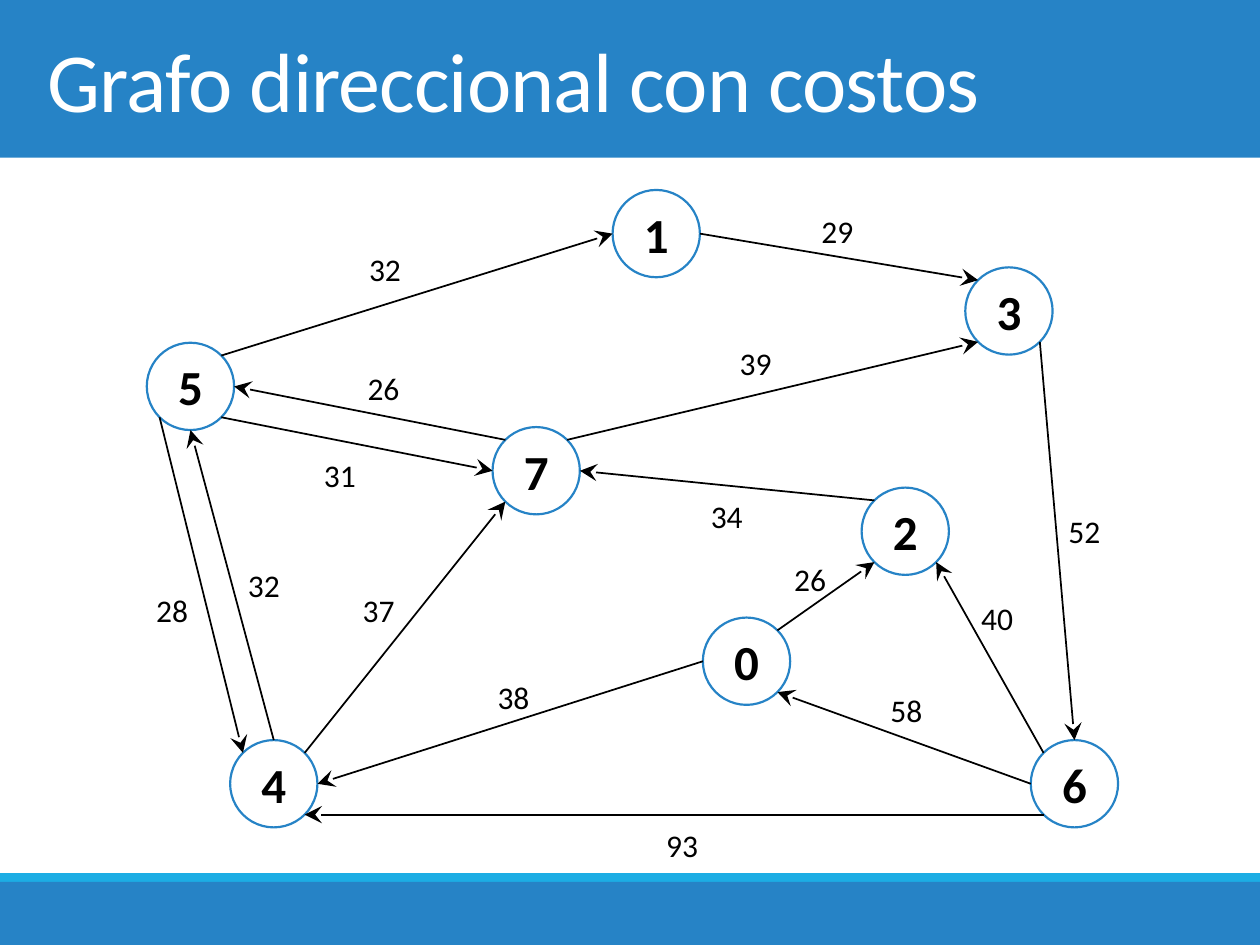
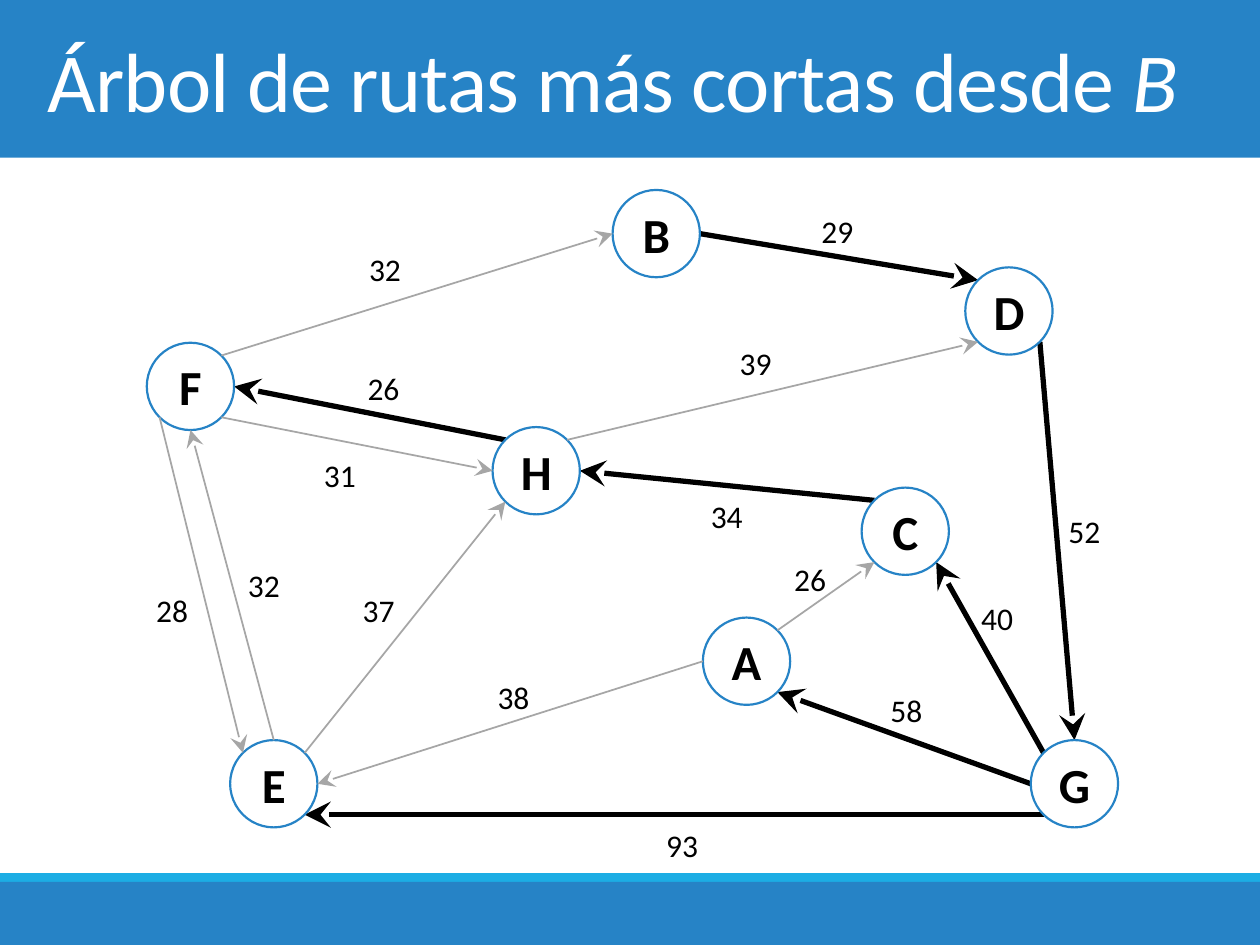
"""Builds two slides: a directed cost graph and its shortest-route tree."""
import math
from dataclasses import dataclass

import lxml.etree
import pptx
import pptx.dml.color
import pptx.enum.shapes
import pptx.enum.text
import pptx.oxml.ns
import pptx.util

Cm = pptx.util.Cm
Pt = pptx.util.Pt
SHAPE = pptx.enum.shapes.MSO_SHAPE
ALIGN = pptx.enum.text.PP_ALIGN
ANCHOR = pptx.enum.text.MSO_ANCHOR
AUTO = pptx.enum.text.MSO_AUTO_SIZE
qn = pptx.oxml.ns.qn


@dataclass(frozen=True)
class Theme:
    font: str = "Calibri"
    blue: str = "2683C6"
    cyan: str = "1CADE4"
    white: str = "FFFFFF"
    black: str = "000000"
    grey: str = "A6A6A6"
    title: int = 48
    node: int = 28
    cost: int = 18
    outline: float = 1.25
    thin: int = 1
    thick: int = 3


T = Theme()
SLIDE_W, SLIDE_H = 25.4, 19.05
BANDS = [(0, 3.18, T.blue), (17.78, 1.27, T.blue), (17.6, 0.18, T.cyan)]
TITLE_BOX = (0.71, 0, 24, 3.18)
NODE_D = 1.76
COST_W, COST_H = 1.17, 1.02

SLIDES = [
    {"title": [("Grafo direccional con costos", False)],
     "names": "01234567", "show_tree": False},
    {"title": [("Árbol de rutas más cortas desde ", False), ("B", True)],
     "names": "ABCDEFGH", "show_tree": True},
]

CENTRES = [(15.05, 13.33), (13.23, 4.71), (18.25, 10.71), (20.34, 6.27),
           (5.52, 15.8), (3.84, 7.79), (21.66, 15.8), (10.81, 9.49)]

SITES = ["N", "NW", "W", "SW", "S", "SE", "E", "NE"]

EDGES = [
    (5, "NE", 1, "W", "32", (7.19, 4.91), False),
    (1, "E", 3, "NW", "29", (16.31, 4.14), True),
    (7, "NE", 3, "SW", "39", (14.66, 6.81), False),
    (3, "SE", 6, "N", "52", (21.29, 10.19), True),
    (6, "SW", 4, "SE", "93", (13.18, 16.53), True),
    (6, "NW", 2, "SE", "40", (19.53, 11.95), True),
    (6, "W", 0, "SE", "58", (17.7, 13.8), True),
    (0, "NE", 2, "SW", "26", (15.76, 11.17), False),
    (0, "W", 4, "E", "38", (9.78, 13.54), False),
    (2, "NW", 7, "E", "34", (14.08, 9.89), True),
    (4, "NE", 7, "SW", "37", (7.06, 11.79), False),
    (7, "NW", 5, "E", "26", (7.16, 7.32), True),
    (5, "SE", 7, "W", "31", (6.28, 9.07), False),
    (4, "N", 5, "S", "32", (4.75, 11.28), False),
    (5, "SW", 4, "NW", "28", (2.9, 11.79), False),
]


def rgb(color):
    return pptx.dml.color.RGBColor.from_string(color)


def write(tf, runs, *, size, color=T.black, bold=False, align=ALIGN.LEFT,
          anchor=ANCHOR.TOP, spacing=None):
    tf.vertical_anchor = anchor
    p = tf.paragraphs[0]
    p.alignment = align
    for text, italic in runs:
        r = p.add_run()
        r.text = text
        r.font.name, r.font.size = T.font, Pt(size)
        r.font.bold, r.font.italic = bold, italic
        r.font.color.rgb = rgb(color)
        if spacing is not None:
            r.font._element.set("spc", str(spacing))


def add_filled(s, kind, box, fill, line=None):
    sp = s.shapes.add_shape(kind, *map(Cm, box))
    sp.shadow.inherit = False
    sp.fill.solid()
    sp.fill.fore_color.rgb = rgb(fill)
    if line:
        sp.line.color.rgb = rgb(line)
        sp.line.width = Pt(T.outline)
    else:
        sp.line.fill.background()
    return sp


def send_to_back(s, sp):
    s.shapes.element.insert(2, sp.element)


def add_bands(s):
    for top, height, color in BANDS:
        box = (0, top, SLIDE_W, height)
        send_to_back(s, add_filled(s, SHAPE.RECTANGLE, box, color))


def add_title(s, runs):
    sp = s.shapes.title
    sp.left, sp.top, sp.width, sp.height = map(Cm, TITLE_BOX)
    sp.text_frame.auto_size = AUTO.NONE
    write(sp.text_frame, runs, size=T.title, color=T.white,
          anchor=ANCHOR.MIDDLE, spacing=-50)


def add_node(s, name, centre):
    x, y = centre
    box = (x - NODE_D / 2, y - NODE_D / 2, NODE_D, NODE_D)
    sp = add_filled(s, SHAPE.OVAL, box, T.white, T.blue)
    tf = sp.text_frame
    tf.margin_left = tf.margin_right = tf.margin_top = tf.margin_bottom = 0
    write(tf, [(name, False)], size=T.node, bold=True,
          align=ALIGN.CENTER, anchor=ANCHOR.MIDDLE)
    return sp


def site_point(node, site):
    x, y = CENTRES[node]
    angle = math.radians(45 * SITES.index(site))
    return (Cm(x - NODE_D / 2 * math.sin(angle)),
            Cm(y - NODE_D / 2 * math.cos(angle)))


def add_edge(s, nodes, ends, color, width):
    points = [site_point(*end) for end in ends]
    c = s.shapes.add_connector(pptx.enum.shapes.MSO_CONNECTOR.STRAIGHT,
                               *points[0], *points[1])
    c.line.color.rgb = rgb(color)
    c.line.width = Pt(width)
    lxml.etree.SubElement(c.line._get_or_add_ln(), qn("a:tailEnd"),
                          type="stealth", w="lg", len="lg")
    lxml.etree.SubElement(c.element.spPr, qn("a:effectLst"))
    glue = c.element.find(".//" + qn("p:cNvCxnSpPr"))
    for tag, (node, site) in zip(("a:stCxn", "a:endCxn"), ends):
        lxml.etree.SubElement(glue, qn(tag), id=str(nodes[node].shape_id),
                              idx=str(SITES.index(site)))
    return c


def add_cost(s, cost, place):
    sp = s.shapes.add_textbox(*map(Cm, (*place, COST_W, COST_H)))
    sp.text_frame.word_wrap = False
    sp.text_frame.auto_size = AUTO.SHAPE_TO_FIT_TEXT
    write(sp.text_frame, [(cost, False)], size=T.cost)


def add_graph(s, names, show_tree):
    nodes = [add_node(s, name, centre) for name, centre in zip(names, CENTRES)]
    for start, start_site, end, end_site, cost, place, in_tree in EDGES:
        bold = show_tree and in_tree
        color = T.grey if show_tree and not in_tree else T.black
        c = add_edge(s, nodes, [(start, start_site), (end, end_site)],
                     color, T.thick if bold else T.thin)
        if bold:
            send_to_back(s, c)
        add_cost(s, cost, place)


def main():
    prs = pptx.Presentation()
    prs.slide_width, prs.slide_height = Cm(SLIDE_W), Cm(SLIDE_H)
    layout = prs.slide_layouts.get_by_name("Title Only")
    for content in SLIDES:
        s = prs.slides.add_slide(layout)
        add_title(s, content["title"])
        add_graph(s, content["names"], content["show_tree"])
        add_bands(s)
    prs.save("out.pptx")


main()
